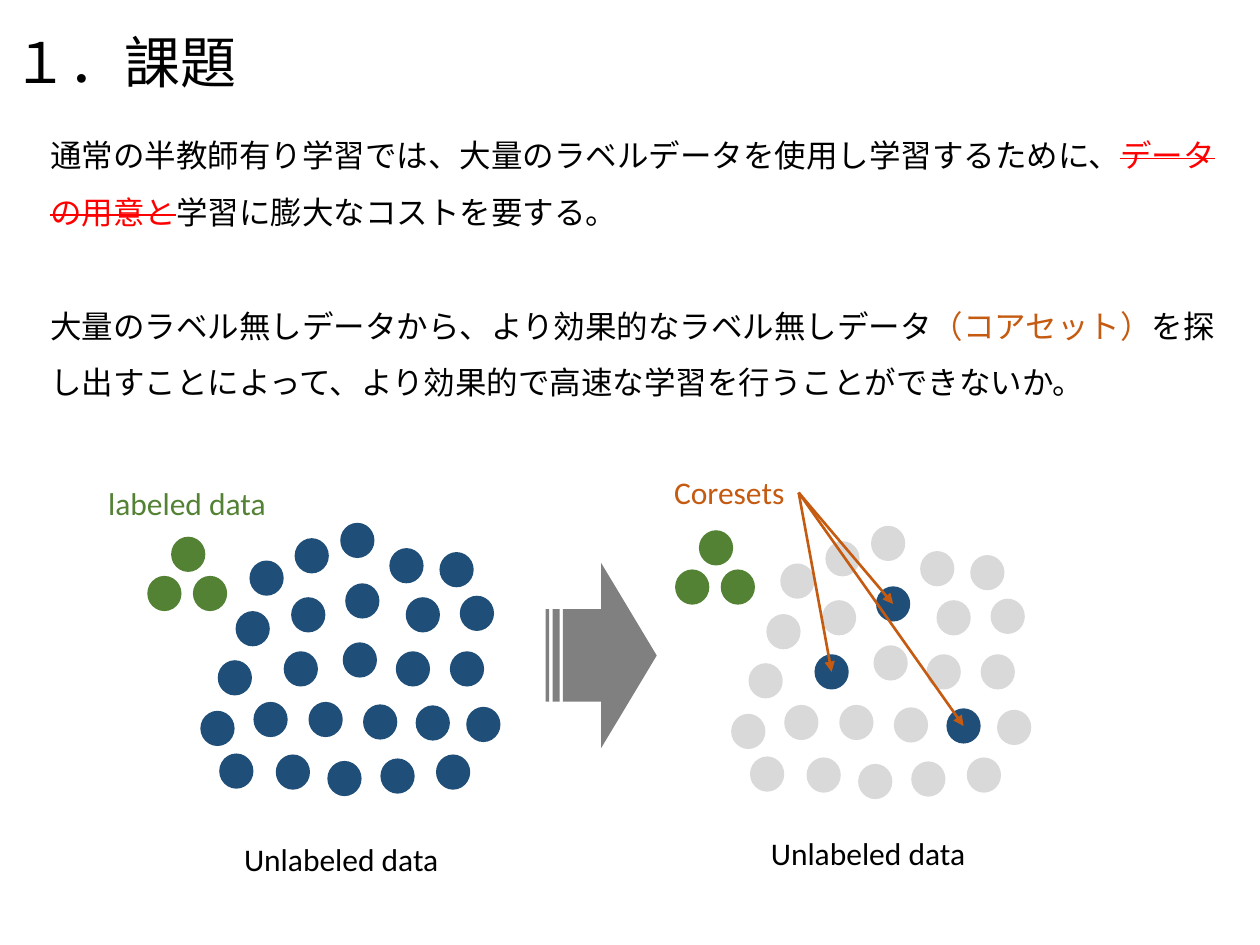
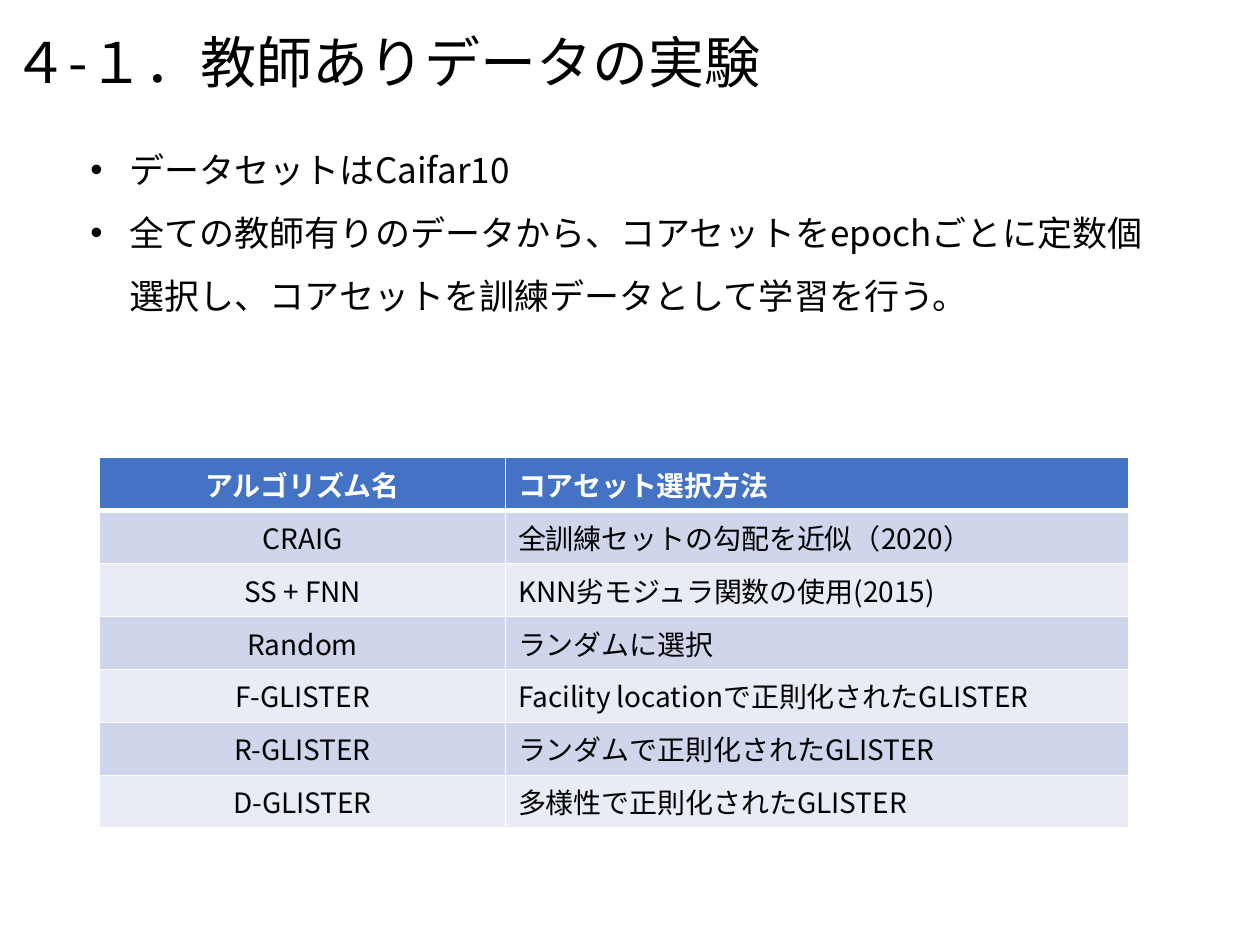
from dataclasses import dataclass
from typing import NamedTuple

from lxml import etree
from pptx import Presentation
from pptx.dml.color import RGBColor
from pptx.enum.shapes import MSO_CONNECTOR, MSO_SHAPE
from pptx.enum.text import MSO_ANCHOR, MSO_AUTO_SIZE, PP_ALIGN
from pptx.oxml.ns import qn
from pptx.util import Cm, Pt

OVAL = MSO_SHAPE.OVAL
STRIPED_ARROW = MSO_SHAPE.STRIPED_RIGHT_ARROW
STRAIGHT = MSO_CONNECTOR.STRAIGHT
BOTTOM, MIDDLE, TOP = MSO_ANCHOR.BOTTOM, MSO_ANCHOR.MIDDLE, MSO_ANCHOR.TOP
NO_FIT, GROW = MSO_AUTO_SIZE.NONE, MSO_AUTO_SIZE.SHAPE_TO_FIT_TEXT
LEFT, CENTER = PP_ALIGN.LEFT, PP_ALIGN.CENTER


@dataclass(frozen=True)
class Theme:
    text: str = "000000"
    white: str = "FFFFFF"
    unlabeled: str = "1F4E79"
    labeled: str = "548235"
    faded: str = "D9D9D9"
    coreset: str = "C55A11"
    removed: str = "FF0000"
    arrow: str = "808080"
    header: str = "4472C4"
    bands: tuple[str, str] = ("CFD5EA", "E9EBF5")
    japanese_font: str = "Noto Sans CJK JP"
    latin_font: str = "Calibri"
    title_size: int = 32
    list_size: int = 20
    body_size: int = 18
    table_size: int = 16


class Point(NamedTuple):
    x: float
    y: float

    def shifted(self, offset: "Point") -> "Point":
        return Point(self.x + offset.x, self.y + offset.y)


class Box(NamedTuple):
    left: float
    top: float
    width: float
    height: float


class Label(NamedTuple):
    text: str
    box: Box
    color: str


class Piece(NamedTuple):
    text: str
    color: str = "000000"
    strike: bool = False


class Cloud(NamedTuple):
    offset: Point
    labeled_offset: Point
    color: str


THEME = Theme()
DOT = Point(0.69, 0.71)
UNLABELED_DOTS = [Point(*pair) for pair in (
    (6.96, 11.76), (7.98, 13.13), (8.18, 12.04), (6.91, 12.95), (6.22, 14.15),
    (7.32, 14.2), (8.38, 14.22), (7.67, 15.29), (6.6, 15.34), (5.72, 13.13),
    (5.87, 12.04), (4.75, 12.32), (5.03, 11.3), (5.94, 10.85), (7.85, 11.05),
    (9.07, 13.13), (9.27, 12.01), (5.11, 14.15), (5.56, 15.21), (4.39, 13.31),
    (8.86, 11.13), (6.86, 10.54), (4.42, 15.19), (8.79, 15.21), (9.4, 14.25),
    (4.04, 14.33),
)]
LABELED_DOTS = [Point(3.89, 11.61), Point(2.97, 11.61), Point(3.45, 10.82)]
CORESET_INDEXES = (0, 9, 6)
CORESET_TIP = Point(16.1, 9.93)
BEFORE = Cloud(Point(0, 0), Point(0, 0), THEME.unlabeled)
AFTER = Cloud(Point(10.7, 0.06), Point(10.64, -0.13), THEME.faded)
LABELS = [
    Label("labeled data", Box(1.93, 9.63, 3.73, 1.02), THEME.labeled),
    Label("Coresets", Box(13.34, 9.42, 2.77, 1.02), THEME.coreset),
    Label("Unlabeled data", Box(4.67, 16.81, 4.47, 1.02), THEME.text),
    Label("Unlabeled data", Box(15.29, 16.69, 4.47, 1.02), THEME.text),
]
PROBLEM = [
    [Piece("通常の半教師有り学習では、大量のラベルデータを使用し学習するために、"),
     Piece("データの用意と", THEME.removed, True),
     Piece("学習に膨大なコストを要する。")],
    [Piece("大量のラベル無しデータから、より効果的なラベル無しデータ"),
     Piece("（コアセット）", THEME.coreset),
     Piece("を探し出すことによって、より効果的で高速な学習を行うことができないか。")],
]
EXPERIMENT = [
    [Piece("データセットはCaifar10")],
    [Piece("全ての教師有りのデータから、コアセットをepochごとに定数個選択し、"
           "コアセットを訓練データとして学習を行う。")],
]
ALGORITHMS = [
    ("アルゴリズム名", "コアセット選択方法"),
    ("CRAIG", "全訓練セットの勾配を近似（2020）"),
    ("SS + FNN", "KNN劣モジュラ関数の使用(2015)"),
    ("Random", "ランダムに選択"),
    ("F-GLISTER", "Facility locationで正則化されたGLISTER"),
    ("R-GLISTER", "ランダムで正則化されたGLISTER"),
    ("D-GLISTER", "多様性で正則化されたGLISTER"),
]


def lengths(values) -> list:
    return [Cm(value) for value in values]


def add_text(paragraph, text: str, *, size: int, color: str = THEME.text,
             font: str = THEME.japanese_font, bold: bool = False,
             strike: bool = False, align=LEFT) -> None:
    paragraph.alignment = align
    run = paragraph.add_run()
    run.text = text
    run.font.size = Pt(size)
    run.font.bold = bold
    run.font.name = font
    run.font.color.rgb = RGBColor.from_string(color)
    properties = run._r.get_or_add_rPr()
    etree.SubElement(properties, qn("a:ea"), typeface=font)
    if strike:
        properties.set("strike", "sngStrike")


def place(shape, box: Box) -> None:
    shape.left, shape.top, shape.width, shape.height = lengths(box)


def add_titled_slide(presentation, title: str):
    slide = presentation.slides.add_slide(presentation.slide_layouts[1])
    shape = slide.shapes.title
    place(shape, Box(0, 0, 25.4, 2.03))
    frame = shape.text_frame
    frame.auto_size = NO_FIT
    frame.vertical_anchor = BOTTOM
    add_text(frame.paragraphs[0], title, size=THEME.title_size)
    return slide


def fill_body(slide, box: Box, paragraphs: list[list[Piece]], *, size: int,
              gap: float = 0, bullet: bool = False) -> None:
    shape = slide.placeholders[1]
    place(shape, box)
    frame = shape.text_frame
    frame.auto_size = NO_FIT
    frame.vertical_anchor = TOP
    indent = Cm(0.79) if bullet else 0
    for index, pieces in enumerate(paragraphs):
        paragraph = frame.add_paragraph() if index else frame.paragraphs[0]
        paragraph.line_spacing = 1.5
        paragraph.space_before = Pt(gap if index else 0)
        properties = paragraph._p.get_or_add_pPr()
        properties.set("marL", str(indent))
        properties.set("indent", str(-indent))
        if bullet:
            etree.SubElement(properties, qn("a:buFont"), typeface="Arial")
            etree.SubElement(properties, qn("a:buChar"), char="•")
        else:
            etree.SubElement(properties, qn("a:buNone"))
        for piece in pieces:
            add_text(paragraph, piece.text, size=size, color=piece.color,
                     strike=piece.strike)


def add_label(slide, label: Label) -> None:
    frame = slide.shapes.add_textbox(*lengths(label.box)).text_frame
    frame.word_wrap = False
    frame.auto_size = GROW
    add_text(frame.paragraphs[0], label.text, size=THEME.body_size,
             color=label.color, font=THEME.latin_font)


def add_filled(slide, kind, box: Box, color: str) -> None:
    shape = slide.shapes.add_shape(kind, *lengths(box))
    shape.shadow.inherit = False
    shape.fill.solid()
    shape.fill.fore_color.rgb = RGBColor.from_string(color)
    shape.line.fill.background()


def add_cloud(slide, cloud: Cloud) -> None:
    for index, dot in enumerate(UNLABELED_DOTS):
        color = THEME.unlabeled if index in CORESET_INDEXES else cloud.color
        add_filled(slide, OVAL, Box(*dot.shifted(cloud.offset), *DOT), color)
    for dot in LABELED_DOTS:
        add_filled(slide, OVAL, Box(*dot.shifted(cloud.labeled_offset), *DOT),
                   THEME.labeled)


def add_arrow(slide, start: Point, end: Point) -> None:
    connector = slide.shapes.add_connector(STRAIGHT, *lengths(start + end))
    connector.line.color.rgb = RGBColor.from_string(THEME.coreset)
    connector.line.width = Pt(1.5)
    etree.SubElement(connector.line._get_or_add_ln(), qn("a:tailEnd"), type="triangle")
    etree.SubElement(connector._element.spPr, qn("a:effectLst"))


def add_borders(cell, bottom_width: float) -> None:
    properties = cell._tc.get_or_add_tcPr()
    widths = {"a:lnL": 1, "a:lnR": 1, "a:lnT": 1, "a:lnB": bottom_width}
    for position, (side, width) in enumerate(widths.items()):
        line = etree.Element(qn(side), w=str(Pt(width)))
        fill = etree.SubElement(line, qn("a:solidFill"))
        etree.SubElement(fill, qn("a:srgbClr"), val=THEME.white)
        properties.insert(position, line)


def add_algorithm_table(slide, box: Box, column_widths: tuple[float, float]) -> None:
    table = slide.shapes.add_table(len(ALGORITHMS), 2, *lengths(box)).table
    for column, width in zip(table.columns, column_widths):
        column.width = Cm(width)
    for row_index, texts in enumerate(ALGORITHMS):
        is_header = row_index == 0
        table.rows[row_index].height = Cm(box.height / len(ALGORITHMS))
        for column_index, text in enumerate(texts):
            cell = table.cell(row_index, column_index)
            color = THEME.header if is_header else THEME.bands[(row_index - 1) % 2]
            cell.fill.solid()
            cell.fill.fore_color.rgb = RGBColor.from_string(color)
            cell.vertical_anchor = MIDDLE
            add_borders(cell, 3 if is_header else 1)
            add_text(cell.text_frame.paragraphs[0], text, size=THEME.table_size,
                     color=THEME.white if is_header else THEME.text,
                     bold=is_header, align=LEFT if column_index else CENTER)


def build_problem_slide(presentation) -> None:
    slide = add_titled_slide(presentation, "１．課題")
    fill_body(slide, Box(0.76, 2.24, 24.43, 6.78), PROBLEM,
              size=THEME.body_size, gap=32.5)
    for cloud in (BEFORE, AFTER):
        add_cloud(slide, cloud)
    for label in LABELS:
        add_label(slide, label)
    center = Point(DOT.x / 2, DOT.y / 2)
    for index in CORESET_INDEXES:
        target = UNLABELED_DOTS[index].shifted(AFTER.offset).shifted(center)
        add_arrow(slide, CORESET_TIP, target)
    add_filled(slide, STRIPED_ARROW, Box(11, 11.35, 2.24, 3.73), THEME.arrow)


def build_experiment_slide(presentation) -> None:
    slide = add_titled_slide(presentation, "４-１．教師ありデータの実験")
    fill_body(slide, Box(1.57, 2.44, 22.23, 5.51), EXPERIMENT,
              size=THEME.list_size, bullet=True)
    add_algorithm_table(slide, Box(2.01, 9.22, 20.75, 7.28), (8.18, 12.57))


def main() -> None:
    presentation = Presentation()
    presentation.slide_width = Cm(25.4)
    presentation.slide_height = Cm(19.05)
    build_problem_slide(presentation)
    build_experiment_slide(presentation)
    presentation.save("out.pptx")


main()
